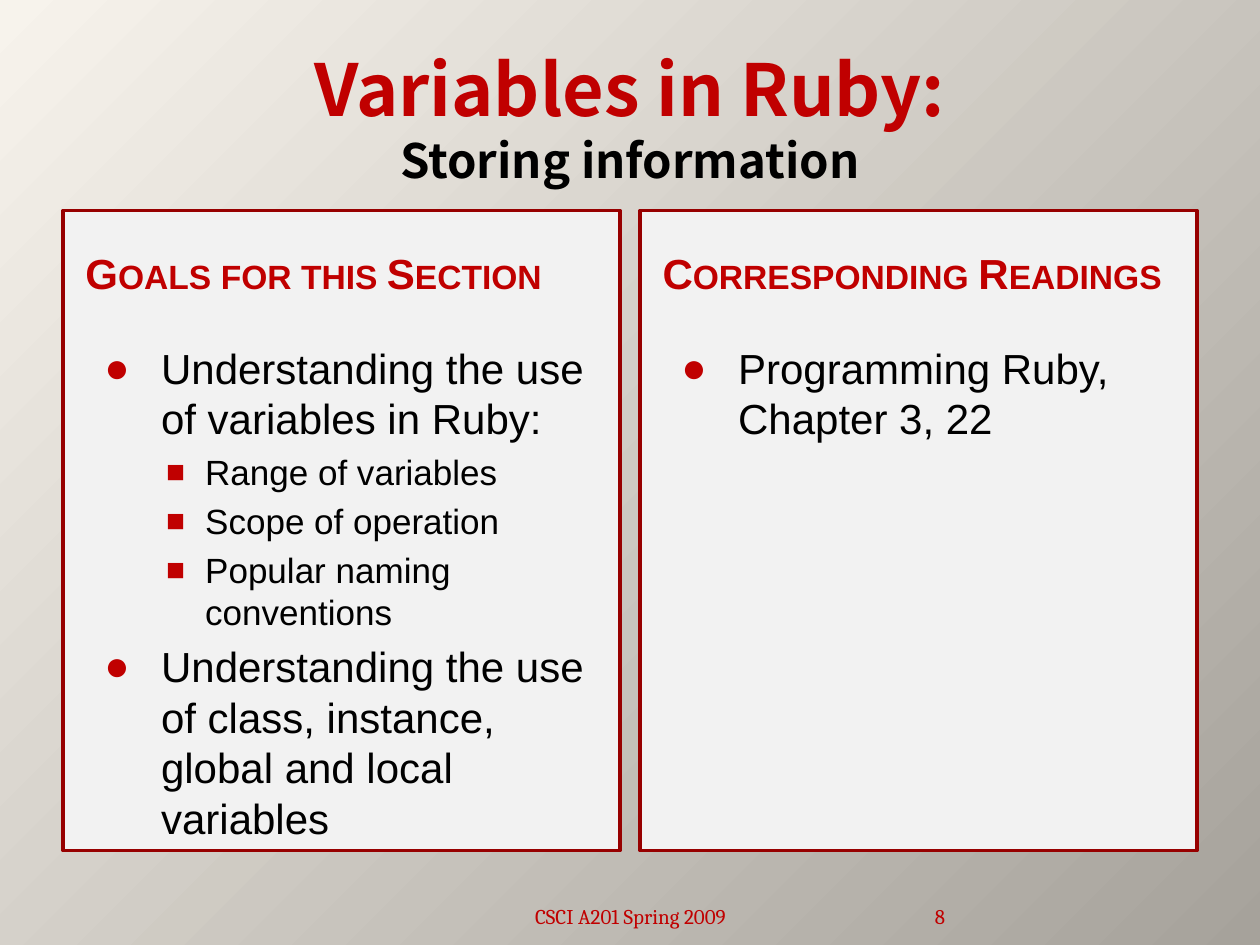
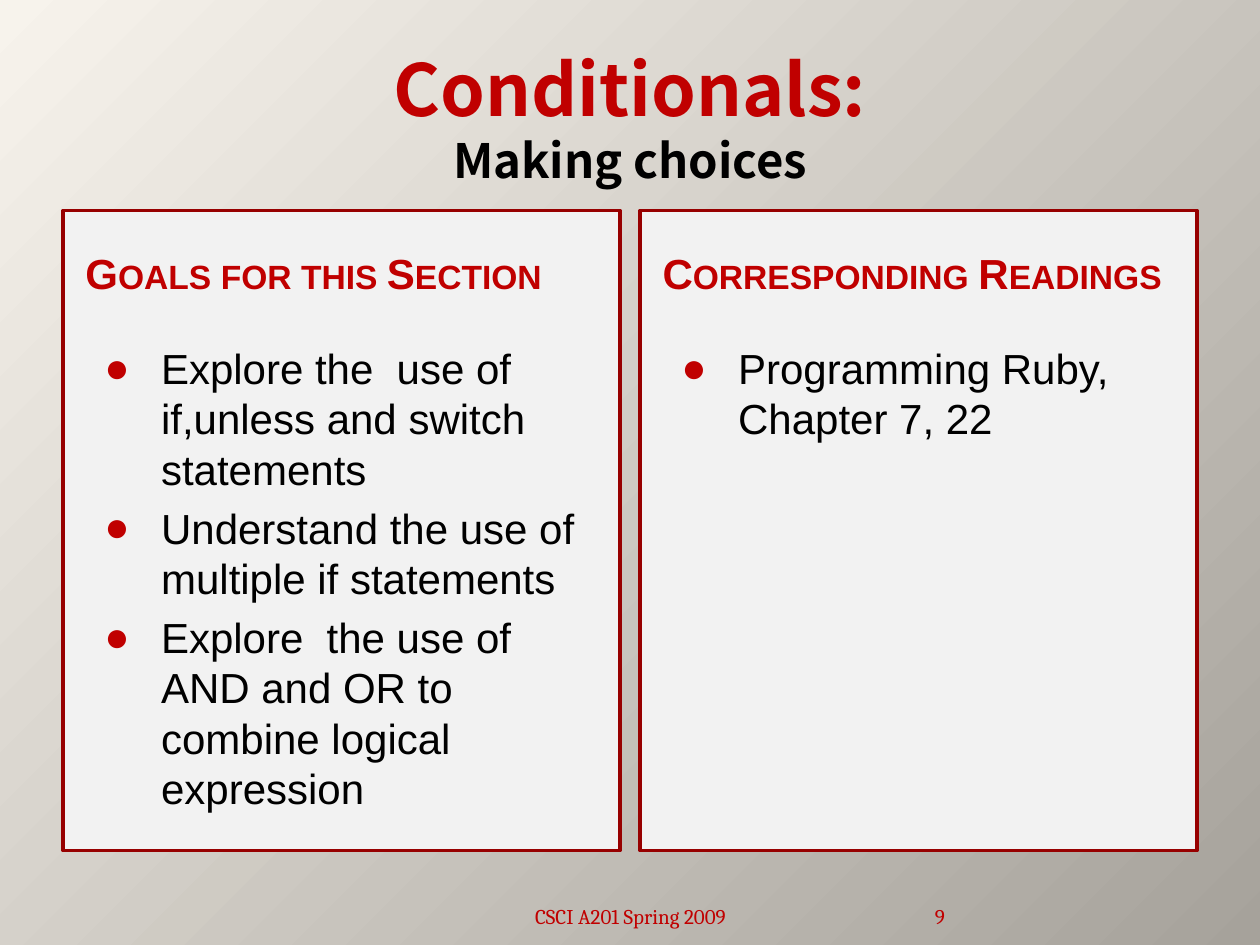
import pptx
import pptx.util
import pptx.dml.color
import pptx.enum.shapes
import pptx.enum.text
import pptx.oxml
import pptx.oxml.ns
from dataclasses import dataclass

Inches = pptx.util.Inches
Pt = pptx.util.Pt
Align = pptx.enum.text.PP_ALIGN
Anchor = pptx.enum.text.MSO_ANCHOR


@dataclass(frozen=True)
class Theme:
    red: str = "C00000"
    edge: str = "970000"
    black: str = "000000"
    panel: str = "F2F2F2"
    light: str = "F7F3EC"
    dark: str = "A6A29B"
    head: str = "Noto Sans CJK SC"
    body: str = "Arial"
    foot: str = "Cambria"
    title: float = 41
    sub: float = 27
    text: float = 24
    minor: float = 20
    note: float = 12


THEME = Theme()
LEFT = 0.5
STEP = 4.58
PAD = 0.08
BULLETS = [
    ("●", 100, 0.6, 0.45, THEME.text),
    ("■", 90, 0.95, 0.31, THEME.minor),
]

SLIDES = [
    (8, "Variables in Ruby:", "Storing information",
     [(0, "Understanding the use of variables in Ruby:"),
      (1, "Range of variables"),
      (1, "Scope of operation"),
      (1, "Popular naming conventions"),
      (0, "Understanding the use of class, instance, global and local variables")],
     [(0, "Programming Ruby, Chapter 3, 22")]),
    (9, "Conditionals:", "Making choices",
     [(0, "Explore the  use of if,unless and switch statements"),
      (0, "Understand the use of multiple if statements"),
      (0, "Explore  the use of AND and OR to combine logical expression")],
     [(0, "Programming Ruby, Chapter 7, 22")]),
]


def color(code):
    return pptx.dml.color.RGBColor.from_string(code)


def style(run, face, size, code, bold=False):
    font = run.font
    font.name = face
    font.size = Pt(size)
    font.bold = bold
    font.color.rgb = color(code)


def add_node(parent, tag, **attrs):
    node = pptx.oxml.ns.qn(tag)
    child = parent.makeelement(node, attrs)
    parent.append(child)
    return child


def paint_back(master):
    fill = master.background.fill
    fill.gradient()
    for stop, code, place in zip(fill.gradient_stops, (THEME.light, THEME.dark), (0, 1)):
        stop.color.rgb = color(code)
        stop.position = place
    qn = pptx.oxml.ns.qn
    grad = master.element.find(".//" + qn("p:bg")).find(".//" + qn("a:gradFill"))
    grad.remove(grad.find(qn("a:lin")))
    way = add_node(grad, "a:path", path="circle")
    add_node(way, "a:fillToRect", r="100000", b="100000")


def add_box(slide, left, top, width, height, anchor=Anchor.TOP):
    box = slide.shapes.add_textbox(Inches(left), Inches(top), Inches(width), Inches(height))
    box.text_frame.word_wrap = True
    box.text_frame.vertical_anchor = anchor
    return box


def add_title(slide, title, sub):
    box = add_box(slide, LEFT, 0.3, 9, 1.25, Anchor.MIDDLE)
    para = box.text_frame.paragraphs[0]
    para.text = title + "\v" + sub
    para.alignment = Align.CENTER
    first, second = para.runs
    style(first, THEME.head, THEME.title, THEME.red, True)
    style(second, THEME.head, THEME.sub, THEME.black, True)


def add_panel(slide, left):
    kind = pptx.enum.shapes.MSO_SHAPE.RECTANGLE
    panel = slide.shapes.add_shape(kind, Inches(left), Inches(1.67), Inches(4.42), Inches(5.08))
    panel.shadow.inherit = False
    panel.fill.solid()
    panel.fill.fore_color.rgb = color(THEME.panel)
    panel.line.color.rgb = color(THEME.edge)
    panel.line.width = Pt(2)


def add_head(slide, left, text):
    box = add_box(slide, left, 1.75, 4.25, 0.82, Anchor.MIDDLE)
    box.text_frame.text = text
    run = box.text_frame.paragraphs[0].runs[0]
    style(run, THEME.body, THEME.text, THEME.red, True)
    run.font._element.set("cap", "small")


def add_list(slide, left, items):
    frame = add_box(slide, left, 2.67, 4.25, 4).text_frame
    frame.text = "\n".join(text for level, text in items)
    for index, (para, (level, text)) in enumerate(zip(frame.paragraphs, items)):
        mark, scale, indent, hang, size = BULLETS[level]
        para.level = level
        if index:
            para.space_before = Pt(size * 0.2)
        props = para._p.get_or_add_pPr()
        props.set("marL", str(Inches(indent)))
        props.set("indent", str(-Inches(hang)))
        add_node(add_node(props, "a:buClr"), "a:srgbClr", val=THEME.red)
        add_node(props, "a:buSzPct", val=str(scale * 1000))
        add_node(props, "a:buFont", typeface=THEME.body)
        add_node(props, "a:buChar", char=mark)
        style(para.runs[0], THEME.body, size, THEME.black)


def add_foot(slide, left, width, text, align, inset):
    box = add_box(slide, left, 7.02, width, 0.4, Anchor.BOTTOM)
    frame = box.text_frame
    frame.margin_left = frame.margin_right = Inches(inset)
    frame.text = text
    para = frame.paragraphs[0]
    para.alignment = align
    style(para.runs[0], THEME.foot, THEME.note, THEME.red)


def add_page(deck, number, title, sub, goals, books):
    slide = deck.slides.add_slide(deck.slide_layouts[6])
    add_title(slide, title, sub)
    parts = [("Goals for this Section", goals), ("Corresponding Readings", books)]
    for index, (head, items) in enumerate(parts):
        left = LEFT + index * STEP
        add_panel(slide, left)
        add_head(slide, left + PAD, head)
        add_list(slide, left + PAD, items)
    add_foot(slide, 3.42, 3.17, "CSCI A201 Spring 2009", Align.CENTER, 0.1)
    add_foot(slide, 6.67, 0.83, str(number), Align.RIGHT, 0)


def main():
    deck = pptx.Presentation()
    deck.slide_width = Inches(10)
    deck.slide_height = Inches(7.5)
    paint_back(deck.slide_master)
    for page in SLIDES:
        add_page(deck, *page)
    deck.save("out.pptx")


if __name__ == "__main__":
    main()
